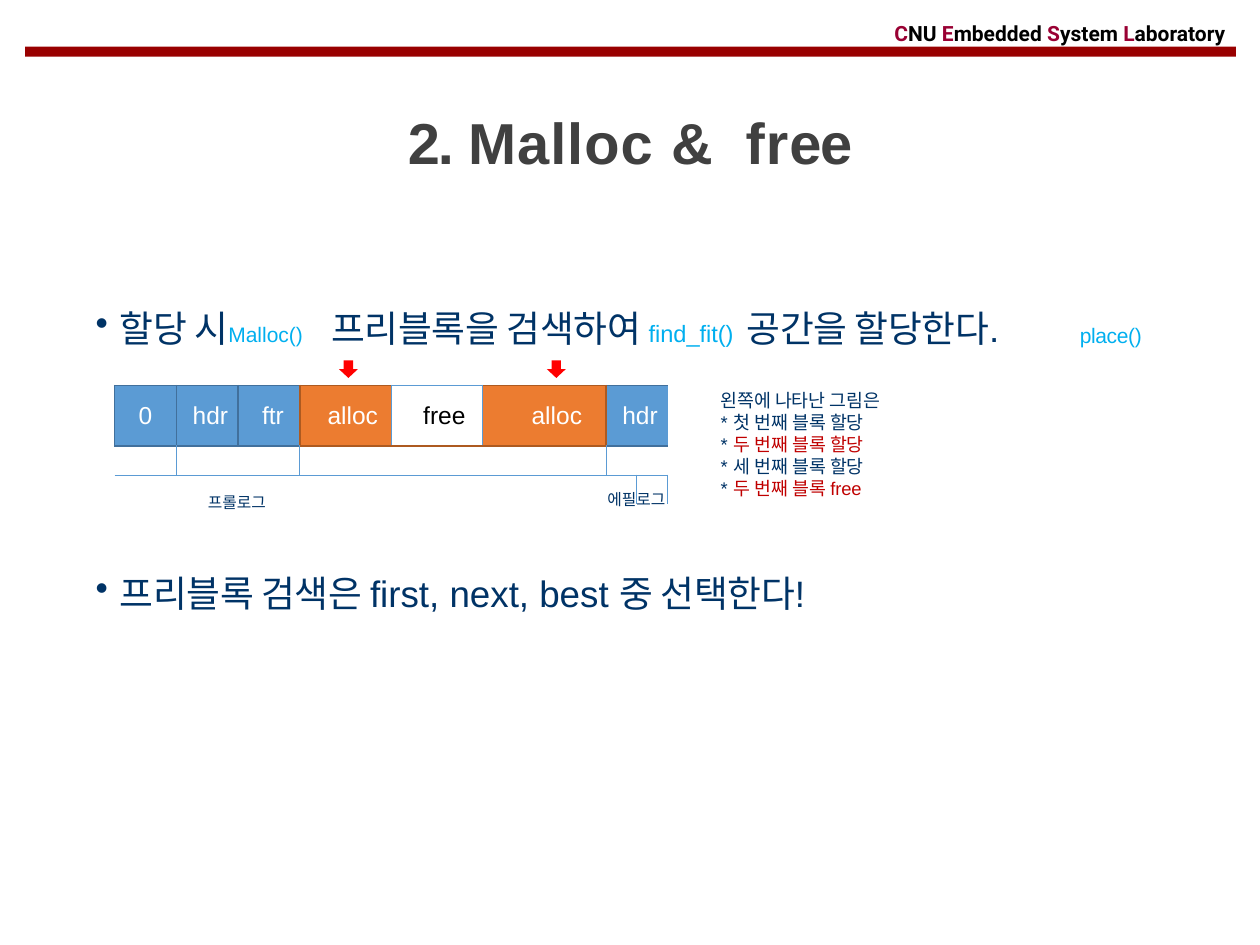
from dataclasses import dataclass
from lxml import etree
from pptx import Presentation
from pptx.dml.color import RGBColor
from pptx.enum.shapes import MSO_SHAPE
from pptx.enum.text import MSO_ANCHOR, MSO_AUTO_SIZE, PP_ALIGN
from pptx.oxml.ns import qn
from pptx.util import Inches, Pt

RECT, DOWN_ARROW = MSO_SHAPE.RECTANGLE, MSO_SHAPE.DOWN_ARROW
MIDDLE, TOP = MSO_ANCHOR.MIDDLE, MSO_ANCHOR.TOP
LEFT, CENTER = PP_ALIGN.LEFT, PP_ALIGN.CENTER
NO_AUTOFIT = MSO_AUTO_SIZE.NONE


@dataclass(frozen=True)
class Theme:
    latin: str = "Arial"
    korean: str = "Noto Sans CJK KR"
    header: str = "Roboto"
    navy: str = "003366"
    cyan: str = "00AFEF"
    title: str = "404040"
    bar: str = "990000"
    initial: str = "990033"
    accent: str = "C00000"
    arrow: str = "FF0000"
    black: str = "000000"
    white: str = "FFFFFF"
    blue: str = "5B9BD4"
    blue_edge: str = "41709C"
    orange: str = "EC7C30"
    orange_edge: str = "AD5A20"
    grey: str = "999999"
    title_size: float = 33
    body_size: float = 21
    call_size: float = 13.5
    cell_size: float = 14
    small_size: float = 12
    note_size: float = 10.5
    label_size: float = 9


T = Theme()


@dataclass
class Run:
    text: str
    size: float = T.body_size
    color: str = T.navy
    font: str = T.latin
    spacing: float = 0
    bold: bool = False


def korean(text, size=T.body_size, color=T.navy, spacing=-0.2):
    return Run(text, size, color, T.korean, spacing)


class SlideBuilder:
    """Holds the theme's slide and draws each kind of element on it."""

    def __init__(self, prs):
        self.slide = prs.slides.add_slide(prs.slide_layouts[5])

    def shape(self, kind, box, color):
        shape = self.slide.shapes.add_shape(kind, *map(Inches, box))
        shape.shadow.inherit = False
        shape.fill.solid()
        shape.fill.fore_color.rgb = RGBColor.from_string(color)
        shape.line.fill.background()

    def paragraph(self, para, runs, align=LEFT, indent=0, bullet=False):
        para.alignment = align
        props = para._p.get_or_add_pPr()
        props.set("marL", str(Inches(0.2 if bullet else indent)))
        props.set("indent", str(Inches(-0.19 if bullet else 0)))
        if bullet:
            etree.SubElement(props, qn("a:buChar")).set("char", "•")
        for item in runs:
            run = para.add_run()
            run.text = item.text
            run.font.name = item.font
            run.font.size = Pt(item.size)
            run.font.bold = item.bold
            run.font.color.rgb = RGBColor.from_string(item.color)
            run_props = run._r.get_or_add_rPr()
            run_props.set("spc", str(round(item.spacing * 100)))
            etree.SubElement(run_props, qn("a:ea")).set("typeface", item.font)

    def frame(self, frame, anchor, wrap, margin=0):
        frame.auto_size = NO_AUTOFIT
        frame.word_wrap = wrap
        frame.vertical_anchor = anchor
        frame.margin_left = frame.margin_right = Inches(margin)
        frame.margin_top = frame.margin_bottom = 0

    def title(self, box, runs):
        title = self.slide.shapes.title
        title.left, title.top, title.width, title.height = map(Inches, box)
        self.frame(title.text_frame, MIDDLE, True)
        self.paragraph(title.text_frame.paragraphs[0], runs, CENTER)

    def text(self, box, *lines, anchor=TOP, margin=0, bullet=False):
        frame = self.slide.shapes.add_textbox(*map(Inches, box)).text_frame
        self.frame(frame, anchor, False, margin)
        for i, runs in enumerate(lines):
            para = frame.add_paragraph() if i else frame.paragraphs[0]
            self.paragraph(para, runs, indent=0 if bullet else 0.01, bullet=bullet)

    def border(self, cell, codes):
        """Codes give the left, right, top and bottom edge in that order."""
        props = cell._tc.get_or_add_tcPr()
        for i, (side, code) in enumerate(zip("LRTB", codes)):
            line = etree.Element(qn("a:ln" + side))
            if code in EDGES:
                color, width = EDGES[code]
                line.set("w", str(Pt(width)))
                fill = etree.SubElement(line, qn("a:solidFill"))
                etree.SubElement(fill, qn("a:srgbClr")).set("val", color)
            else:
                etree.SubElement(line, qn("a:noFill"))
            props.insert(i, line)

    def table(self, box, widths, heights, rows):
        table = self.slide.shapes.add_table(
            len(heights), len(widths), *map(Inches, box)).table
        table.first_row = table.horz_banding = False
        for column, width in zip(table.columns, widths):
            column.width = Inches(width)
        for r, (row, height) in enumerate(zip(rows, heights)):
            table.rows[r].height = Inches(height)
            first = 0
            for span, edges, *content in row:
                last = first + span - 1
                for c in range(first, last + 1):
                    left = edges[0] if c == first else "-"
                    right = edges[1] if c == last else "-"
                    self.cell(table.cell(r, c), left + right + edges[2:])
                if content:
                    self.fill_cell(table.cell(r, first), *content)
                if span > 1:
                    table.cell(r, first).merge(table.cell(r, last))
                first = last + 1

    def cell(self, cell, edges):
        cell.fill.background()
        cell.vertical_anchor = MIDDLE
        cell.margin_left = cell.margin_right = 0
        cell.margin_top = cell.margin_bottom = 0
        cell.text_frame.paragraphs[0].font.size = Pt(T.label_size)
        self.border(cell, edges)

    def fill_cell(self, cell, label, indent, fill):
        if fill:
            cell.fill.solid()
            cell.fill.fore_color.rgb = RGBColor.from_string(fill)
        run = Run(label, T.cell_size, T.white if fill else T.black)
        align = LEFT if indent else CENTER
        self.paragraph(cell.text_frame.paragraphs[0], [run], align, indent)


# Cell edges: dark blue, orange, blue, thin blue, grey
EDGES = {"d": (T.blue_edge, 0.96), "o": (T.orange_edge, 0.96),
         "b": (T.blue, 0.96), "t": (T.blue, 0.48), "g": (T.grey, 1)}

# Each cell: column span, edges, then label, indent and fill
HEAP_ROWS = [
    [(1, "dddd", "0", 0, T.blue), (1, "dddd", "hdr", 0.13, T.blue),
     (1, "dodd", "ftr", 0.19, T.blue), (1, "oboo", "alloc", 0.22, T.orange),
     (1, "bbbb", "free", 0.25, None), (1, "booo", "alloc", 0.39, T.orange),
     (2, "oddd", "hdr", 0.13, T.blue)],
    [(1, "-tdt"), (2, "ttdt"), (3, "ttot"), (2, "ttdt")],
    [(2, "-tt-"), (5, "ttt-"), (1, "ttt-")],
]


def main():
    prs = Presentation()
    prs.slide_width, prs.slide_height = Inches(10), Inches(7.5)
    page = SlideBuilder(prs)

    # Header band
    page.shape(RECT, (0.2, 0.37, 9.61, 0.08), T.bar)
    header = []
    for initial, rest in ("C", "NU "), ("E", "mbedded "), ("S", "ystem "), ("L", "aboratory"):
        header += [Run(initial, T.small_size, T.initial, T.header, bold=True),
                   Run(rest, T.small_size, T.black, T.header, bold=True)]
    page.text((6.99, 0.12, 3.03, 0.28), header, anchor=MIDDLE, margin=0.1)

    # Title
    title_parts = ("2. ", -1.1), ("Malloc ", 0.6), ("& ", 4.8), ("fr", 0.6), ("ee", -0.8)
    page.title((0.59, 0.68, 8.82, 0.89),
               [Run(text, T.title_size, T.title, spacing=gap, bold=True)
                for text, gap in title_parts])

    # Allocation sentence with its function calls
    page.text((0.75, 2.43, 1.79, 0.36),
              [korean("할당 시"), Run("Malloc()", T.small_size, T.cyan)], bullet=True)
    page.text((2.62, 2.43, 5.85, 0.36),
              [korean("프리블록을 검색하여 "), Run("find_fit()  ", T.call_size, T.cyan),
               korean("공간을 할당한다"), Run(".", spacing=-1.3)])
    page.text((8.56, 2.56, 0.52, 0.21),
              [Run("place()", T.small_size, T.cyan, spacing=-0.2)])

    # Search policy sentence
    page.text((0.75, 4.53, 6.15, 0.36),
              [korean("프리블록 검색은 "), Run("first, next, best "),
               korean("중 선택한다"), Run("!")], bullet=True)

    # Heap blocks with the arrows and block labels
    for left, top, label in (1.64, 3.91, "프롤로그"), (4.81, 3.89, "에필로그"):
        page.text((left, top, 0.52, 0.16), [korean(label, T.label_size, spacing=0)])
    page.shape(RECT, (3.13, 3.06, 0.71, 0.48), T.white)
    for left in 2.69, 4.34:
        page.shape(DOWN_ARROW, (left, 2.86, 0.15, 0.14), T.arrow)

    # Steps beside the heap
    steps = [[korean("왼쪽에 나타난 그림은", T.note_size, spacing=0)]]
    for step, color in (("첫 번째 블록 할당", T.navy), ("두 번째 블록 할당", T.accent),
                        ("세 번째 블록 할당", T.navy), ("두 번째 블록 ", T.accent)):
        steps.append([Run("* ", T.note_size, spacing=0.3),
                      korean(step, T.note_size, color, 0)])
    steps[-1].append(Run("free", T.note_size, T.accent))
    page.text((5.71, 3.09, 1.44, 0.88), *steps)

    page.table((0.91, 3.06, 4.4, 0.95),
               [0.49, 0.49, 0.49, 0.73, 0.72, 0.98, 0.24, 0.25],
               [0.48, 0.23, 0.23], HEAP_ROWS)
    prs.save("out.pptx")


if __name__ == "__main__":
    main()
